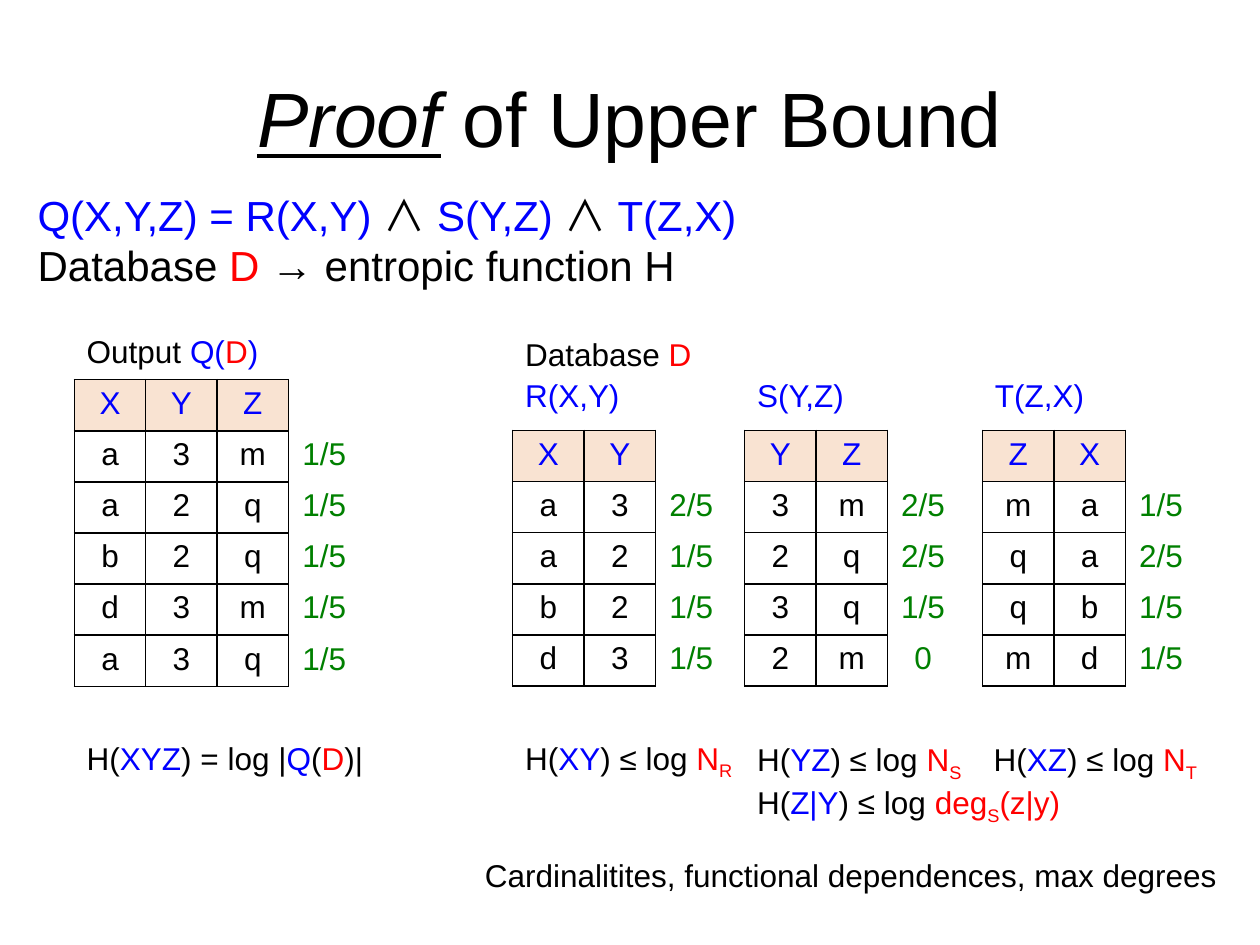
"""Build the slide on the proof of the upper bound."""
from pptx import Presentation
from pptx.dml.color import RGBColor
from pptx.enum.text import MSO_ANCHOR as Anchor, MSO_AUTO_SIZE as Fit, PP_ALIGN as Align
from pptx.oxml import parse_xml
from pptx.oxml.ns import nsdecls
from pptx.util import Pt

BLACK = RGBColor(0, 0, 0)
BLUE = RGBColor(0, 0, 255)
RED = RGBColor(255, 0, 0)
GREEN = RGBColor(0, 128, 0)
PEACH = RGBColor(0xF9, 0xE3, 0xD2)
FONT, MATH = "Arial", "Noto Sans CJK JP"
BREAK = "\n"
COL, ROW = 40.8, 29.2
LEFT_Q, LEFT_R, LEFT_S, LEFT_T = 42.5, 293, 425.5, 561.5
HEAD, NOTE = 211.5, 418.5

TITLE = [("Proof", True), (" of Upper Bound", False)]

TABLES = [
    (LEFT_Q, 217, "XYZ", ["a3m", "a2q", "b2q", "d3m", "a3q"], ["1/5"] * 5),
    (LEFT_R, 246, "XY", ["a3", "a2", "b2", "d3"], ["2/5", "1/5", "1/5", "1/5"]),
    (LEFT_S, 246, "YZ", ["3m", "2q", "3q", "2m"], ["2/5", "2/5", "1/5", "0"]),
    (LEFT_T, 246, "ZX", ["ma", "qa", "qb", "md"], ["1/5", "2/5", "1/5", "1/5"]),
]


def bound(names, *limit):
    return [("H(", BLACK), (names, BLUE), (") ≤ log ", BLACK), *limit]


def size(sub):
    return ("N", RED), (sub, RED, "sub")


AND = ("∧", BLACK, "math")
TEXTS = [
    (14.4, 104.5, 417, 65.5, 24, [[
        ("Q(X,Y,Z) = R(X,Y) ", BLUE), AND, (" S(Y,Z) ", BLUE), AND, (" T(Z,X)", BLUE),
        (BREAK, BLUE), ("Database ", BLACK), ("D ", RED), ("→ entropic function H", BLACK)]]),
    (LEFT_Q, 186, 114, 29, 18, [[("Output ", BLACK), ("Q(", BLUE), ("D", RED), (")", BLUE)]]),
    (LEFT_R, 188, 111, 29, 18, [[("Database ", BLACK), ("D", RED)]]),
    (LEFT_R, HEAD, 69, 29, 18, [[("R(X,Y)", BLUE)]]),
    (LEFT_S, HEAD, 65, 29, 18, [[("S(Y,Z)", BLUE)]]),
    (LEFT_T, HEAD, 66, 29, 18, [[("T(Z,X)", BLUE)]]),
    (LEFT_Q, NOTE, 174, 29, 18, [[
        ("H(", BLACK), ("XYZ", BLUE), (") = log |", BLACK), ("Q", BLUE),
        ("(", BLACK), ("D", RED), (")|", BLACK)]]),
    (LEFT_R, NOTE, 135.5, 29, 18, [bound("XY", *size("R"))]),
    (LEFT_S, NOTE + 1, 190, 51, 18, [
        bound("YZ", *size("S")),
        bound("Z|Y", ("deg", RED), ("S", RED, "sub"), ("(z|y)", RED))]),
    (LEFT_T - 0.8, NOTE + 1, 134, 29, 18, [bound("XZ", *size("T"))]),
    (270, 485.5, 436, 29, 18, [[("Cardinalitites, functional dependences, max degrees", BLACK)]]),
]


def add_run(para, text, hue, kind="", pts=18):
    if text == BREAK:
        para.add_line_break()
        return None
    run = para.add_run()
    run.text = text
    font = run.font
    font.size, font.bold = Pt(pts), False
    font.name = MATH if kind == "math" else FONT
    font.color.rgb = hue
    if kind == "math":
        run._r.get_or_add_rPr().append(
            parse_xml(f'<a:ea {nsdecls("a")} typeface="{MATH}"/>'))
    if kind == "sub":
        run._r.get_or_add_rPr().set("baseline", "-25000")
    return run


def add_text(slide, left, top, wide, high, pts, paras):
    frame = slide.shapes.add_textbox(Pt(left), Pt(top), Pt(wide), Pt(high)).text_frame
    frame.word_wrap = False
    frame.auto_size = Fit.SHAPE_TO_FIT_TEXT
    for i, parts in enumerate(paras):
        para = frame.add_paragraph() if i else frame.paragraphs[0]
        for part in parts:
            add_run(para, *part, pts=pts)


def set_edges(cell, drawn):
    props = cell._tc.get_or_add_tcPr()
    for side in "LRTB":
        paint = ('<a:solidFill><a:srgbClr val="000000"/></a:solidFill>'
                 if side in drawn else "<a:noFill/>")
        props.append(parse_xml(f'<a:ln{side} {nsdecls("a")} w="12700">{paint}</a:ln{side}>'))


def add_grid(slide, left, top, head, rows, odds):
    lines = [[*head, ""]] + [[*row, odd] for row, odd in zip(rows, odds)]
    count, last = len(lines), len(head)
    table = slide.shapes.add_table(count, last + 1, Pt(left), Pt(top),
                                   Pt(COL * (last + 1)), Pt(ROW * count)).table
    table.first_row = table.horz_banding = False
    for col in table.columns:
        col.width = Pt(COL)
    for r, line in enumerate(lines):
        table.rows[r].height = Pt(ROW)
        for c, text in enumerate(line):
            cell = table.cell(r, c)
            set_edges(cell, "L" if c == last else "LRTB")
            if r == 0 and c < last:
                cell.fill.solid()
                cell.fill.fore_color.rgb = PEACH
            else:
                cell.fill.background()
            para = cell.text_frame.paragraphs[0]
            para.alignment = Align.CENTER
            if text:
                add_run(para, text, GREEN if c == last else BLACK if r else BLUE)


deck = Presentation()
deck.slide_width, deck.slide_height = Pt(720), Pt(540)
slide = deck.slides.add_slide(deck.slide_layouts[5])

title = slide.shapes.title
title.left, title.top, title.width, title.height = Pt(36), Pt(21.6), Pt(648), Pt(90)
title.text_frame.vertical_anchor = Anchor.MIDDLE
line = title.text_frame.paragraphs[0]
line.alignment = Align.CENTER
for text, marked in TITLE:
    run = add_run(line, text, BLACK, pts=44)
    run.font.italic = run.font.underline = marked

for grid in TABLES:
    add_grid(slide, *grid)
for box in TEXTS:
    add_text(slide, *box)

deck.save("out.pptx")
